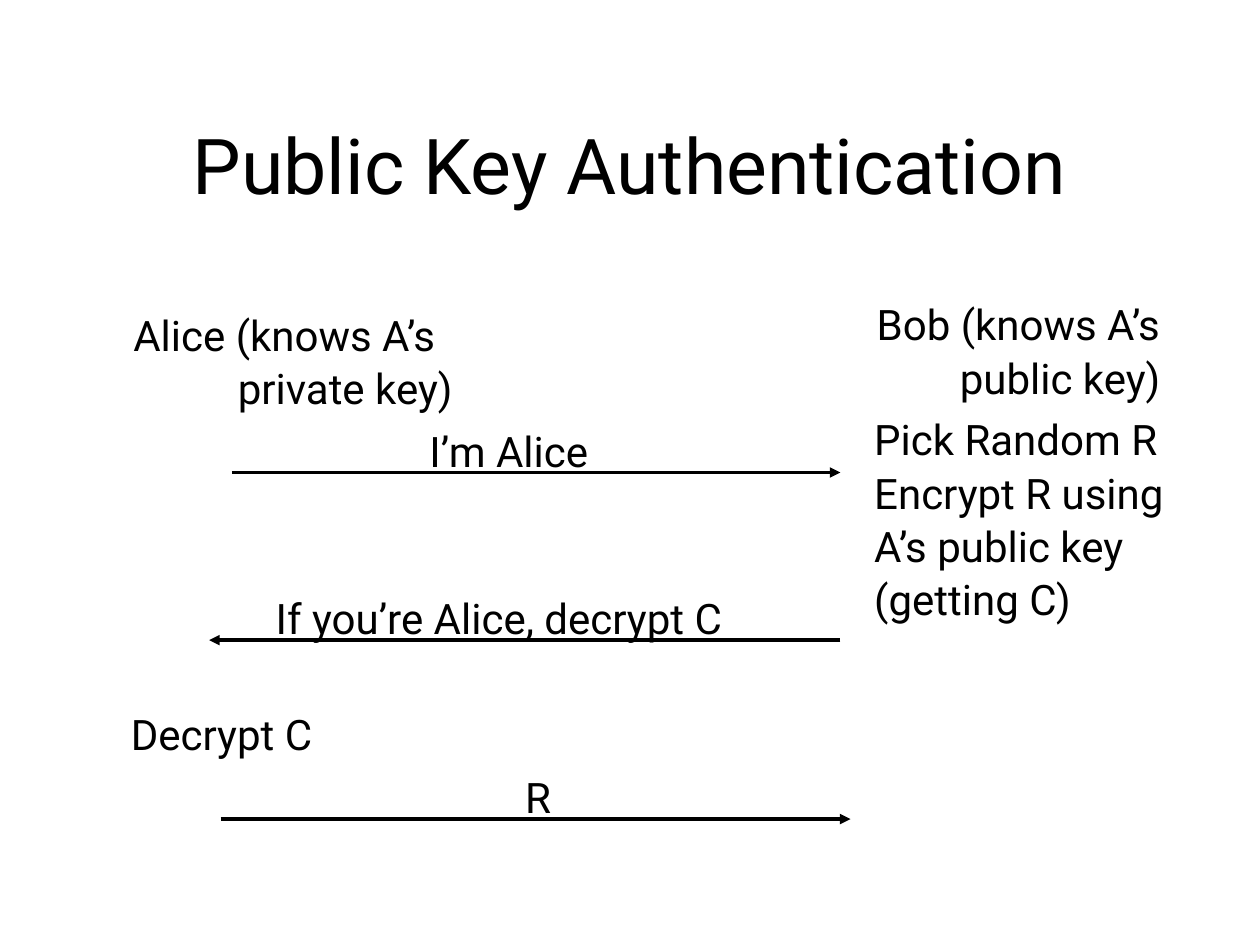
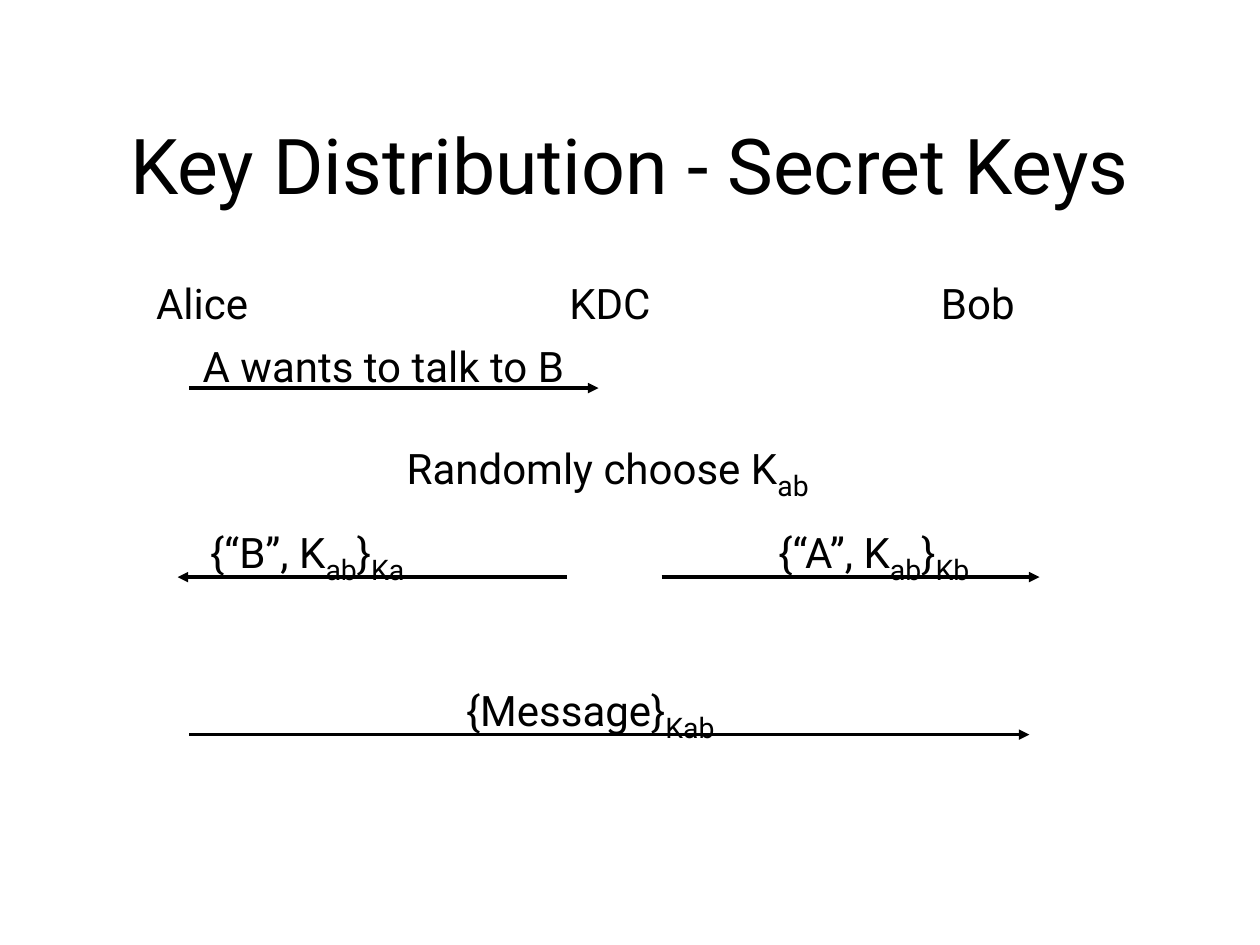
from pptx import Presentation
from pptx.dml.color import RGBColor
from pptx.enum.shapes import MSO_CONNECTOR
from pptx.enum.text import MSO_ANCHOR, MSO_AUTO_SIZE, PP_ALIGN
from pptx.oxml.ns import qn
from pptx.util import Inches, Pt
from lxml import etree

STRAIGHT = MSO_CONNECTOR.STRAIGHT
LEFT, CENTER = PP_ALIGN.LEFT, PP_ALIGN.CENTER
TOP, MIDDLE = MSO_ANCHOR.TOP, MSO_ANCHOR.MIDDLE
GROW, FIXED = MSO_AUTO_SIZE.SHAPE_TO_FIT_TEXT, MSO_AUTO_SIZE.NONE

COLORS = {"ink": "000000", "background": "FFFFFF"}
FONT = "Roboto"
TITLE_SIZE, BODY_SIZE, SUBSCRIPT_SIZE = 44, 24, 28
LINE_HEIGHT = 0.51
SUBSCRIPT_HEIGHT = 0.64
FIRST_SPACING, NEXT_SPACING = 1.01, 1.06


def color(name):
    return RGBColor.from_string(COLORS[name])


def add_runs(paragraph, text, size):
    """Write the text; parts between bars become subscripts."""
    for index, part in enumerate(text.split("|")):
        if not part:
            continue
        run = paragraph.add_run()
        run.text = part
        subscript = index % 2 == 1
        run.font.size = Pt(SUBSCRIPT_SIZE if subscript else size)
        run.font.name = FONT
        run.font.color.rgb = color("ink")
        if subscript:
            run.font._element.set("baseline", "-25000")


def add_text(slide, text, left, top, width, height=LINE_HEIGHT, *, size=BODY_SIZE,
             align=LEFT, anchor=TOP, autosize=GROW, wrap=False, indent=0):
    """Add a text box; indent moves every line after the first."""
    box = slide.shapes.add_textbox(Inches(left), Inches(top), Inches(width), Inches(height))
    frame = box.text_frame
    frame.word_wrap = wrap
    frame.auto_size = autosize
    frame.vertical_anchor = anchor
    for index, line in enumerate(text.split("\n")):
        paragraph = frame.add_paragraph() if index else frame.paragraphs[0]
        paragraph.alignment = align
        paragraph.line_spacing = NEXT_SPACING if index else FIRST_SPACING
        if index and indent:
            paragraph._p.get_or_add_pPr().set("marL", str(Inches(indent)))
        add_runs(paragraph, line, size)


def add_message_arrow(slide, start, end, y):
    """Draw a horizontal arrow from sender to receiver."""
    arrow = slide.shapes.add_connector(STRAIGHT, Inches(start), Inches(y), Inches(end), Inches(y))
    arrow.line.color.rgb = color("ink")
    arrow.line.width = Pt(2)
    properties = arrow._element.spPr
    etree.SubElement(properties.find(qn("a:ln")), qn("a:tailEnd"), type="triangle")
    etree.SubElement(properties, qn("a:effectLst"))


def add_titled_slide(deck, title):
    slide = deck.slides.add_slide(deck.slide_layouts[6])
    slide.background.fill.solid()
    slide.background.fill.fore_color.rgb = color("background")
    add_text(slide, title, 0.75, 0.67, 8.5, 1.25, size=TITLE_SIZE, align=CENTER,
             anchor=MIDDLE, autosize=FIXED, wrap=True)
    return slide


def build_public_key_authentication(deck):
    slide = add_titled_slide(deck, "Public Key Authentication")

    # What each party knows and does
    add_text(slide, "Alice (knows A’s\nprivate key)", 0.96, 2.4, 2.89, 0.93, indent=0.83)
    add_text(slide, "Bob (knows A’s\npublic key)", 6.86, 2.32, 2.57, 0.93, indent=0.66)
    add_text(slide, "Pick Random R\nEncrypt R using\nA’s public key\n(getting C)",
             6.84, 3.23, 2.63, 1.78)
    add_text(slide, "Decrypt C", 0.94, 5.57, 1.72)

    # Messages: label, label left and width, arrow start and end, arrow height
    messages = [
        ("I’m Alice", 3.31, 1.85, 1.84, 6.67, 3.75),
        ("If you’re Alice, decrypt C", 2.09, 3.96, 6.67, 1.66, 5.08),
        ("R", 4.07, 0.41, 1.75, 6.75, 6.5),
    ]
    for label, left, width, start, end, y in messages:
        add_message_arrow(slide, start, end, y)
        add_text(slide, label, left, y - 0.43, width, wrap=label == "I’m Alice")


def build_key_distribution(deck):
    slide = add_titled_slide(deck, "Key Distribution - Secret Keys")

    # Parties
    for party, left, width in [("Alice", 1.14, 0.94), ("KDC", 4.42, 0.86), ("Bob", 7.37, 0.83)]:
        add_text(slide, party, left, 2.15, width)

    # Key choice at the KDC
    add_text(slide, "Randomly choose K|ab|", 3.13, 3.4, 3.54, SUBSCRIPT_HEIGHT)

    # Messages: label, its left, top, width and height, arrow start and end, arrow height
    messages = [
        ("A wants to talk to B", 1.51, 2.65, 3.22, LINE_HEIGHT, 1.5, 4.75, 3.08),
        ("{“B”, K|ab|}|Ka|", 1.57, 4.07, 1.82, SUBSCRIPT_HEIGHT, 4.5, 1.41, 4.58),
        ("{“A”, K|ab|}|Kb|", 6.08, 4.07, 1.83, SUBSCRIPT_HEIGHT, 5.25, 8.25, 4.58),
        ("{Message}|Kab|", 3.6, 5.32, 2.25, SUBSCRIPT_HEIGHT, 1.5, 8.17, 5.83),
    ]
    for label, left, top, width, height, start, end, y in messages:
        add_text(slide, label, left, top, width, height)
        add_message_arrow(slide, start, end, y)


def main():
    deck = Presentation()
    deck.slide_width, deck.slide_height = Inches(10), Inches(7.5)
    build_public_key_authentication(deck)
    build_key_distribution(deck)
    deck.save("out.pptx")


if __name__ == "__main__":
    main()
